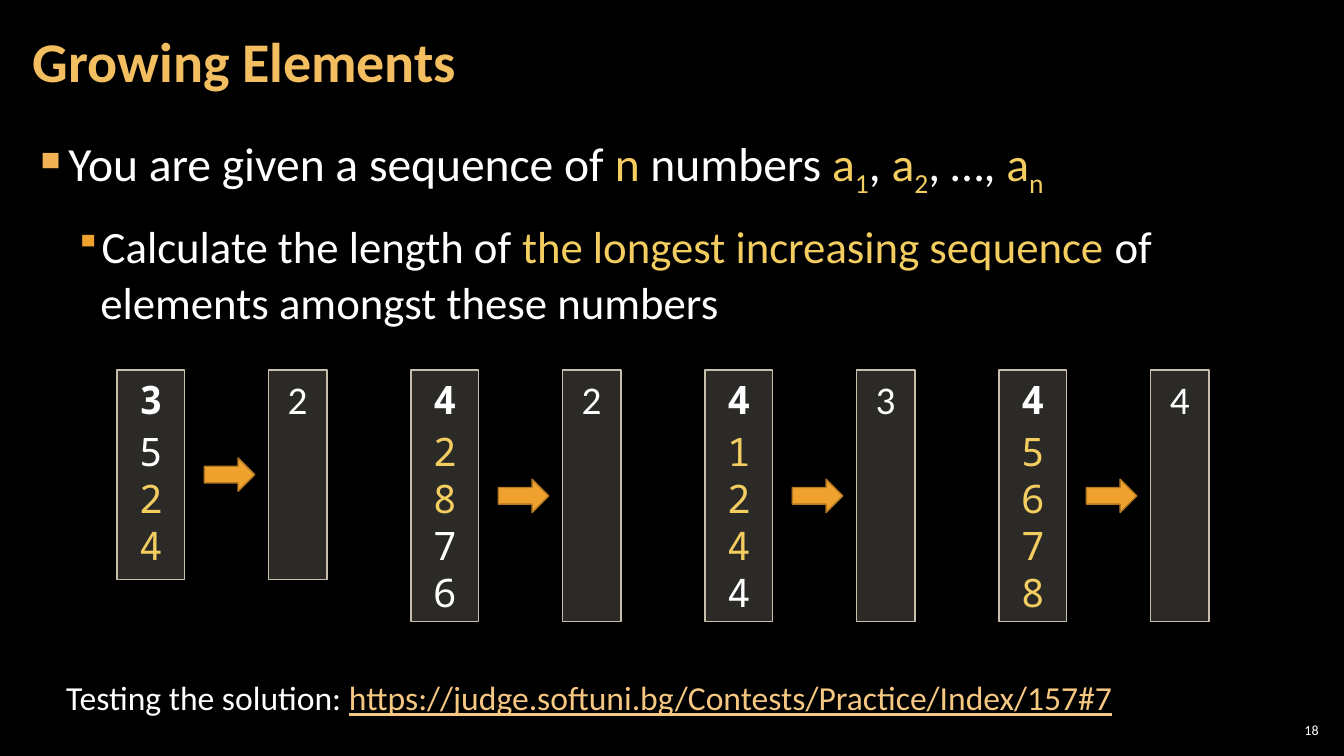
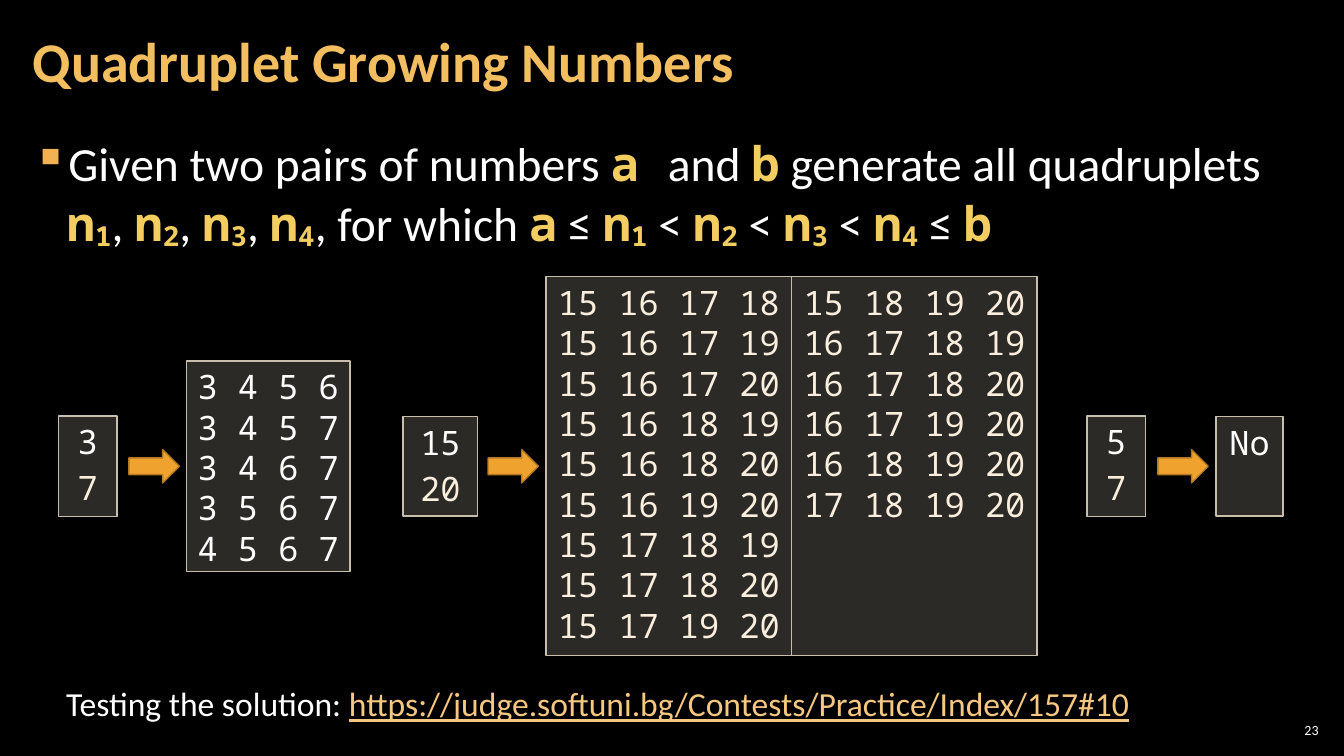
from itertools import combinations

from lxml import etree
from pptx import Presentation
from pptx.dml.color import RGBColor
from pptx.enum.shapes import MSO_SHAPE
from pptx.enum.text import MSO_ANCHOR, PP_ALIGN
from pptx.oxml.ns import qn
from pptx.util import Cm, Pt

RECTANGLE, ARROW = MSO_SHAPE.RECTANGLE, MSO_SHAPE.RIGHT_ARROW
TOP, MIDDLE = MSO_ANCHOR.TOP, MSO_ANCHOR.MIDDLE
CENTER, RIGHT = PP_ALIGN.CENTER, PP_ALIGN.RIGHT

SANS, MONO = "Calibri", "Noto Sans Mono"
COLORS = {
    "background": "000000",
    "text": "FFFFFF",
    "cream": "FBEEDC",
    "title": "F3BE60",
    "accent": "F3CD60",
    "link": "F6C781",
    "panel": "D9D5C7",
    "panel line": "C7BFAC",
    "arrow": "F0A22E",
    "arrow line": "B27822",
    "bullet": "F2B254",
}
# Left indent and hanging indent in cm, bullet colour, bullet size in %, text size
LEVELS = [(0.85, 0.85, "bullet", 100, 34), (1.7, 0.64, "arrow", 80, 32)]
ARROW_WIDTH, ARROW_HEIGHT = 1.27, 0.84


def add_box(page, at, kind=None, color=None, opacity=100, anchor=TOP, margins=(0.25, 0.13), wrap=True):
    """Add a preset shape, or a text box if kind is None; lengths are in cm."""
    place = [Cm(length) for length in at]
    if kind is None:
        box = page.shapes.add_textbox(*place)
    else:
        box = page.shapes.add_shape(kind, *place)
        box.shadow.inherit = False
        box.fill.solid()
        box.fill.fore_color.rgb = RGBColor.from_string(COLORS[color])
        box.line.color.rgb = RGBColor.from_string(COLORS[color + " line"])
        box.line.width = Pt(1)
        if opacity < 100:
            tint = box._element.spPr.find(qn("a:solidFill")).find(qn("a:srgbClr"))
            etree.SubElement(tint, qn("a:alpha"), val=str(opacity * 1000))
    frame = box.text_frame
    frame.word_wrap = wrap
    frame.vertical_anchor = anchor
    frame.margin_left = frame.margin_right = Cm(margins[0])
    frame.margin_top = frame.margin_bottom = Cm(margins[1])
    return frame


def write(para, text, size, color="text", font=SANS, bold=False, underline=False, baseline=0):
    span = para.add_run()
    span.text = text
    span.font.size = Pt(size)
    span.font.name = font
    span.font.bold = bold
    span.font.underline = underline
    span.font.color.rgb = RGBColor.from_string(COLORS[color])
    if baseline:
        span._r.get_or_add_rPr().set("baseline", str(baseline * 1000))


# Each cell: place, text size, font, rows of (text, colour, bold, space after)
sequence_cells, sequence_arrows = [], []
sequences = [("3524", "24", "2"), ("42876", "28", "2"), ("41244", "124", "3"), ("45678", "5678", "4")]
for column, (numbers, longest, answer) in enumerate(sequences):
    left, top = 2.95 + 7.41 * column, 9.32
    height = 5.28 if len(numbers) == 4 else 6.35
    start = numbers.index(longest, 1)
    rows = [(numbers[0], "text", True, 4)]
    for index in range(1, len(numbers)):
        color = "accent" if start <= index < start + len(longest) else "text"
        rows.append((numbers[index], color, False, 0))
    sequence_cells.append(((left, top, 1.7, height), 28, MONO, rows))
    sequence_cells.append(((left + 3.81, top, 1.48, height), 28, SANS, [(answer, "text", False, 0)]))
    sequence_arrows.append((left + 2.2, top + height / 2))

small, large = [
    [" ".join(map(str, numbers)) for numbers in combinations(range(first, last + 1), 4)]
    for first, last in [(3, 7), (15, 20)]
]
middle = 11.75
quadruplet_cells = []
for left, width, height, first, last in [
    (1.47, 1.48, 2.54, "3", "7"), (10.16, 1.88, 2.5, "15", "20"), (27.39, 1.48, 2.54, "5", "7"),
]:
    rows = [(first, "text", False, 4), (last, "cream", False, 4)]
    quadruplet_cells.append(((left, middle - height / 2, width, height), 24, MONO, rows))
for left, width, height, color, lines in [
    (4.7, 4.12, 5.3, "text", small),
    (13.76, 6.19, 9.55, "cream", large[:9]),
    (19.95, 6.19, 9.55, "cream", large[9:]),
    (30.65, 1.68, 2.51, "text", ["No"]),
]:
    rows = [(line, color, False, 0) for line in lines]
    quadruplet_cells.append(((left, middle - height / 2, width, height), 24, MONO, rows))

# In the bullets, every second piece between bars is accented; "_" starts a subscript
pages = [
    {
        "number": "18",
        "title": "Growing Elements",
        "bullets": [
            "You are given a sequence of |n| numbers |a_1|, |a_2|, …, |a_n|",
            "Calculate the length of |the longest increasing sequence |of elements amongst these numbers",
        ],
        "accent": {},
        "subscript": -25,
        "cells": sequence_cells,
        "arrows": sequence_arrows,
        "link": "https://judge.softuni.bg/Contests/Practice/Index/157#7",
        "link top": 16.94,
    },
    {
        "number": "23",
        "title": "Quadruplet Growing Numbers",
        "bullets": [
            "Given two pairs of numbers |a |and |b| generate all quadruplets \n"
            "|n_1|, |n_2|, |n_3|, |n_4|, for which |a| ≤ |n_1| < |n_2| < |n_3| < |n_4| ≤ |b|",
        ],
        "accent": {"font": MONO, "bold": True},
        "subscript": -10,
        "cells": quadruplet_cells,
        "arrows": [(left, middle) for left in (3.25, 12.3, 29.18)],
        "link": "https://judge.softuni.bg/Contests/Practice/Index/157#10",
        "link top": 17.09,
    },
]

deck = Presentation()
deck.slide_width, deck.slide_height = Cm(33.87), Cm(19.05)
background = deck.slide_master.background.fill
background.solid()
background.fore_color.rgb = RGBColor.from_string(COLORS["background"])

for content in pages:
    page = deck.slides.add_slide(deck.slide_layouts[6])

    para = add_box(page, (32.13, 18.14, 1.2, 0.53), anchor=MIDDLE, margins=(0.1, 0.1)).paragraphs[0]
    para.alignment = RIGHT
    write(para, content["number"], 10)

    para = add_box(page, (0.53, 0.1, 26.6, 3.07), anchor=MIDDLE, margins=(0.3, 0.1)).paragraphs[0]
    para.line_spacing = 0.9
    write(para, content["title"], 40, color="title", bold=True)

    frame = add_box(page, (0.53, 3.2, 32.8, 15.47), margins=(0.3, 0.1))
    for level, bullet in enumerate(content["bullets"]):
        indent, hanging, bullet_color, bullet_size, size = LEVELS[level]
        para = frame.add_paragraph() if level else frame.paragraphs[0]
        para.level = level
        properties = para._p.get_or_add_pPr()
        properties.set("marL", str(Cm(indent)))
        properties.set("indent", str(-Cm(hanging)))
        tint = etree.SubElement(properties, qn("a:buClr"))
        etree.SubElement(tint, qn("a:srgbClr"), val=COLORS[bullet_color])
        etree.SubElement(properties, qn("a:buSzPct"), val=str(bullet_size * 1000))
        etree.SubElement(properties, qn("a:buChar"), char="▪")
        para.line_spacing = 1.05
        para.space_before = Pt(6 if level else 0)
        para.space_after = Pt(6)
        for index, piece in enumerate(bullet.split("|")):
            if index % 2:
                word, _, subscript = piece.partition("_")
                write(para, word, size, color="accent", **content["accent"])
                if subscript:
                    write(para, subscript, size, color="accent",
                          baseline=content["subscript"], **content["accent"])
            else:
                line, line_break, _ = piece.partition("\n")
                if line:
                    write(para, line, size)
                if line_break:
                    para.add_line_break()

    for at, size, font, rows in content["cells"]:
        frame = add_box(page, at, RECTANGLE, "panel", opacity=20, wrap=False)
        for index, (text, color, bold, gap) in enumerate(rows):
            para = frame.add_paragraph() if index else frame.paragraphs[0]
            para.alignment = CENTER
            para.line_spacing = Pt(1.2 * size)
            para.space_after = Pt(gap)
            write(para, text, size, color=color, font=font, bold=bold)

    for left, center in content["arrows"]:
        add_box(page, (left, center - ARROW_HEIGHT / 2, ARROW_WIDTH, ARROW_HEIGHT), ARROW, "arrow")

    para = add_box(page, (1.42, content["link top"], 30.76, 1.27)).paragraphs[0]
    write(para, "Testing the solution: ", 24)
    write(para, content["link"], 24, color="link", underline=True)

deck.save("out.pptx")
